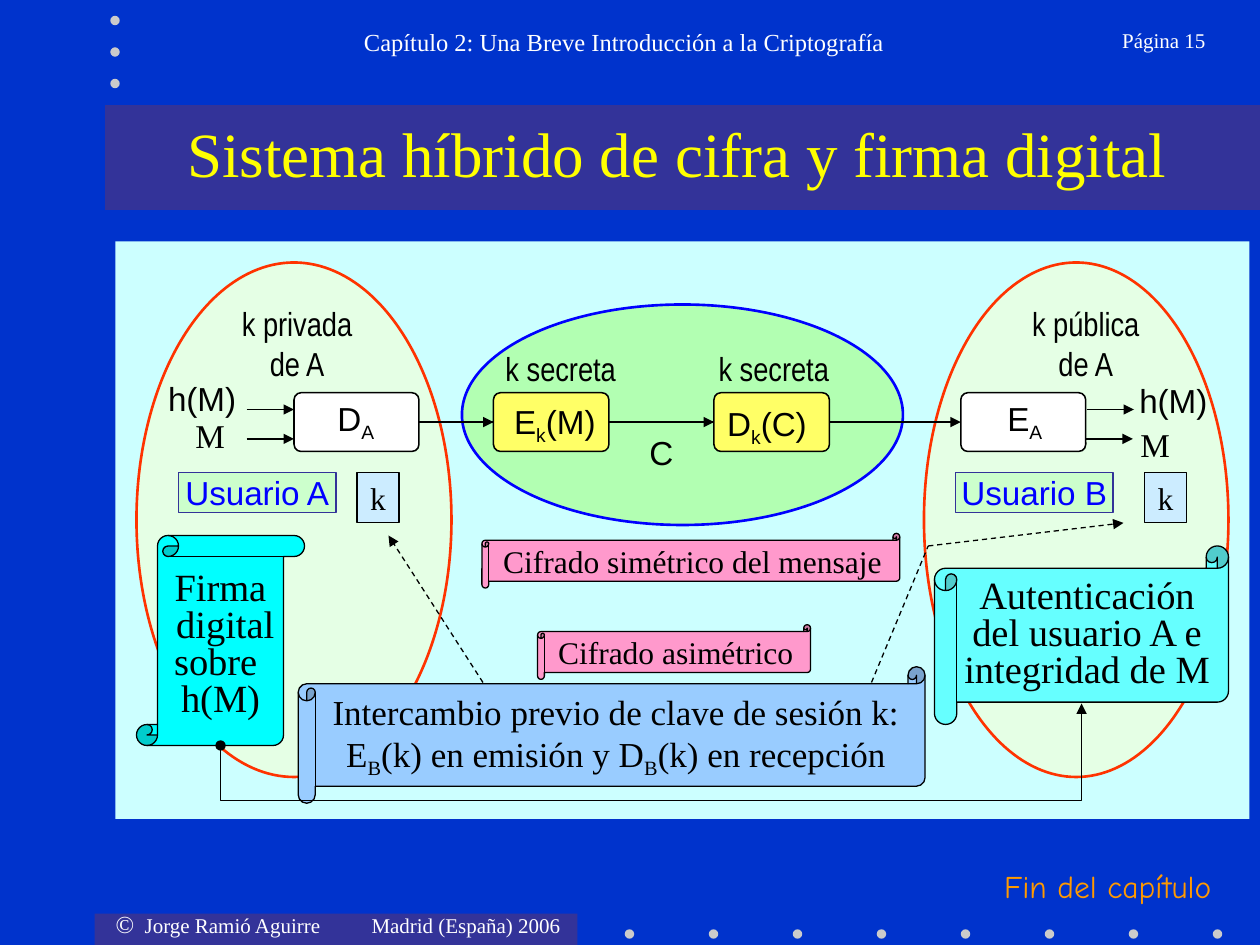
import pptx
import pptx.util
import pptx.dml.color
import pptx.enum.dml
import pptx.enum.shapes
import pptx.enum.text
import pptx.oxml.ns
import lxml.etree

RGB = pptx.dml.color.RGBColor
SHAPE = pptx.enum.shapes.MSO_SHAPE
LINK = pptx.enum.shapes.MSO_CONNECTOR
ALIGN = pptx.enum.text.PP_ALIGN
ANCHOR = pptx.enum.text.MSO_ANCHOR

ROYAL = RGB(0x00, 0x33, 0xCC)
NAVY = RGB(0x33, 0x33, 0x99)
BLUE = RGB(0x00, 0x00, 0xFF)
GREY = RGB(0xCB, 0xCB, 0xCB)
WHITE = RGB(0xFF, 0xFF, 0xFF)
BLACK = RGB(0x00, 0x00, 0x00)
YELLOW = RGB(0xFF, 0xFF, 0x00)
LEMON = RGB(0xFF, 0xFF, 0x66)
CREAM = RGB(0xFF, 0xFF, 0xCC)
RED = RGB(0xFF, 0x33, 0x00)
ORANGE = RGB(0xFF, 0x99, 0x00)
LIME = RGB(0x99, 0xFF, 0x66)
MINT = RGB(0xCC, 0xFF, 0xCC)
ICE = RGB(0xCC, 0xFF, 0xFF)
PALE = RGB(0xCC, 0xEC, 0xFF)
SKY = RGB(0x99, 0xCC, 0xFF)
CYAN = RGB(0x00, 0xFF, 0xFF)
AQUA = RGB(0x66, 0xFF, 0xFF)
PINK = RGB(0xFF, 0x99, 0xCC)

SERIF, SANS, SLIM, HAND = "Times New Roman", "Arial", "Arial Narrow", "Comic Neue"
COLS, ROWS = 120, 90
PAD = (0.1, 0.05, 0.1, 0.05)
FLAT = (0, 0, 0, 0)


def add(node, tag, **attrs):
    return lxml.etree.SubElement(node, pptx.oxml.ns.qn(tag), **attrs)


class Board:
    def __init__(self, deck):
        self.deck = deck
        self.wide = deck.slide_width / COLS
        self.high = deck.slide_height / ROWS
        self.slide = deck.slides.add_slide(deck.slide_layouts[5])
        fill = self.slide.background.fill
        fill.solid()
        fill.fore_color.rgb = ROYAL

    def place(self, x, y, w, h):
        return (round(x * self.wide), round(y * self.high),
                round(w * self.wide), round(h * self.high))

    def letter(self, item, text, size, font=SERIF, ink=BLACK, pad=PAD,
               align=ALIGN.CENTER, anchor=ANCHOR.TOP, wrap=False, space=None):
        frame = item.text_frame
        frame.word_wrap = wrap
        frame.auto_size = pptx.enum.text.MSO_AUTO_SIZE.NONE
        frame.vertical_anchor = anchor
        (frame.margin_left, frame.margin_top,
         frame.margin_right, frame.margin_bottom) = map(pptx.util.Inches, pad)
        for i, row in enumerate(text.split("\n")):
            para = frame.paragraphs[0] if i == 0 else frame.add_paragraph()
            para.alignment = align
            if space:
                para.line_spacing = space
            for j, part in enumerate(row.split("_")):
                if not part:
                    continue
                run = para.add_run()
                run.text = part
                run.font.size = pptx.util.Pt(size)
                run.font.name = font
                run.font.color.rgb = ink
                if j % 2:
                    run.font._element.set("baseline", "-25000")

    def title(self, text, box):
        item = self.slide.shapes.title
        item.left, item.top, item.width, item.height = self.place(*box)
        self.letter(item, text, 36, ink=YELLOW, anchor=ANCHOR.MIDDLE, wrap=True)
        item.element.getparent().append(item.element)

    def shape(self, kind, box, fill, line=None, width=0.75, clear=None):
        item = self.slide.shapes.add_shape(kind, *self.place(*box))
        item.shadow.inherit = False
        item.fill.solid()
        item.fill.fore_color.rgb = fill
        if clear:
            tint = item.fill._xPr.find(".//" + pptx.oxml.ns.qn("a:srgbClr"))
            add(tint, "a:alpha", val=str(clear * 1000))
        if line is None:
            item.line.fill.background()
        else:
            item.line.color.rgb = line
            item.line.width = pptx.util.Pt(width)
        return item

    def label(self, text, box, size=19, **style):
        item = self.slide.shapes.add_textbox(*self.place(*box))
        self.letter(item, text, size, **style)
        return item

    def scroll(self, text, box, fill, size, kind=SHAPE.HORIZONTAL_SCROLL, **style):
        item = self.shape(kind, box, fill, BLACK)
        self.letter(item, text, size, anchor=ANCHOR.MIDDLE, **style)

    def node(self, box, fill):
        item = self.shape(SHAPE.ROUNDED_RECTANGLE, box, fill, BLACK, 0.88)
        item.adjustments[0] = 0.12
        return item

    def arrow(self, start, end, width=0.75, dash=False, head=None,
              tail="triangle", kind=LINK.STRAIGHT):
        item = self.slide.shapes.add_connector(
            kind, *self.place(*start, *end))
        item.line.color.rgb = BLACK
        item.line.width = pptx.util.Pt(width)
        if dash:
            item.line.dash_style = pptx.enum.dml.MSO_LINE.DASH
        edge = item.line._get_or_add_ln()
        for tag, form in (("a:headEnd", head), ("a:tailEnd", tail)):
            if form:
                add(edge, tag, type=form)
        add(item._element.spPr, "a:effectLst")
        return item

    def join(self, first, last):
        item = self.arrow((0, 0), (1, 1))
        item.begin_connect(first, 3)
        item.end_connect(last, 1)

    def elbow(self, start, end, bend, **style):
        item = self.arrow(start, end, kind=LINK.ELBOW, **style)
        props = item._element.spPr
        props.xfrm.set("rot", "5400000")
        form = props.find(pptx.oxml.ns.qn("a:prstGeom"))
        guides = form.find(pptx.oxml.ns.qn("a:avLst"))
        if guides is None:
            guides = add(form, "a:avLst")
        add(guides, "a:gd", name="adj1", fmla=f"val {round(bend * 100000)}")


def frame(board):
    board.shape(SHAPE.RECTANGLE, (9, 87, 46, 3), NAVY)
    board.shape(SHAPE.RECTANGLE, (10, 10, 110, 10), NAVY)
    dots = [(59.5 + 8 * i, 88.5) for i in range(8)]
    dots += [(10.5, 1.5 + 3 * i) for i in range(3)]
    for x, y in dots:
        board.shape(SHAPE.OVAL, (x, y, 0.9, 0.9), GREY)
    foot = board.label("©", (9.84, 86, 45, 4.1), 14, ink=WHITE, align=ALIGN.LEFT)
    para = foot.text_frame.paragraphs[0]
    stops = add(para._p.get_or_add_pPr(), "a:tabLst")
    for word, stop in (("Jorge Ramió Aguirre", 0.23), ("Madrid (España) 2006", 2.03)):
        add(stops, "a:tab", pos=str(pptx.util.Inches(stop)), algn="l")
        run = para.add_run()
        run.text = "\t" + word
        run.font.size, run.font.name = pptx.util.Pt(12), SERIF
        run.font.color.rgb = WHITE
    board.label("Página 15", (99.6, 2, 16.4, 6), 12, ink=WHITE,
                align=ALIGN.RIGHT, wrap=True)
    board.label("Capítulo 2: Una Breve Introducción a la Criptografía",
                (19, 2, 78, 6), 14, ink=WHITE, pad=(0.34, 0.05, 0.1, 0.05), wrap=True)
    board.title("Sistema híbrido de cifra y firma digital", (11, 10, 107, 9))


def draw(board):
    slim = (0.1, 0.01, 0.1, 0.01)
    low = (0.1, 0.05, 0.1, 0)
    board.shape(SHAPE.RECTANGLE, (11, 23, 108, 55), ICE)
    board.shape(SHAPE.OVAL, (13, 25, 30, 49), CREAM, RED, 1.5, 50)
    board.scroll("Firma\n digital\nsobre \nh(M)", (13, 51, 16, 20), CYAN, 22,
                 SHAPE.VERTICAL_SCROLL, space=0.8)
    board.shape(SHAPE.OVAL, (44, 29, 42, 21), LIME, BLUE, 1.5, 50)
    board.scroll("Cifrado simétrico del mensaje", (45.9, 50.8, 39.8, 5.2), PINK, 18, pad=slim)
    board.shape(SHAPE.OVAL, (88, 25, 29, 49), CREAM, RED, 1.5, 50)
    board.scroll("Intercambio previo de clave de sesión k:\n"
                 "E_B_(k) en emisión y D_B_(k) en recepción",
                 (28.4, 63.5, 59.7, 13), SKY, 20)
    board.scroll("Autenticación\ndel usuario A e\nintegridad de M",
                 (89, 52, 28, 17), AQUA, 22, space=0.8)

    sign, check = [board.node((x, 37.4, 11.9, 5.6), WHITE) for x in (28, 91.5)]
    board.join(sign, check)
    lock, free = [board.node((x, 37.4, 11, 5.6), LEMON) for x in (47, 68)]
    board.join(sign, lock)
    board.join(lock, free)
    for text, box, fill in (("E_A_", (95.9, 37.9, 3.4, 4.3), WHITE),
                            ("D_k_(C)", (69.3, 38.4, 7.5, 4.3), LEMON),
                            ("D_A_", (32.2, 37.9, 3.4, 4.3), WHITE),
                            ("E_k_(M)", (49, 38.2, 7.7, 4.3), LEMON)):
        board.letter(board.shape(SHAPE.RECTANGLE, box, fill), text, 19, SANS, pad=FLAT)

    for user, x, y in (("A", 17, 34), ("B", 91, 109)):
        item = board.shape(SHAPE.RECTANGLE, (x, 45, 15, 3.8), MINT, NAVY)
        board.letter(item, "Usuario " + user, 19, SANS, BLUE, FLAT, wrap=True)
        item = board.shape(SHAPE.RECTANGLE, (y, 45, 4, 4.8), PALE, BLACK)
        board.letter(item, "k", 18, wrap=True)

    for text, box in (("k privada\nde A", (23, 28.9, 10.6, 7.6)),
                      ("k pública\nde A", (98.3, 28.9, 10.2, 7.6)),
                      ("k secreta", (68.4, 33.2, 10.6, 3.8)),
                      ("k secreta", (47, 33.2, 12.8, 3.8))):
        board.label(text, box, font=SLIM, pad=FLAT)
    for text, box in (("h(M)", (16, 36, 6.5, 3.8)), ("h(M)", (108.5, 36.2, 6.5, 3.8)),
                      (" C", (61, 41.2, 3.1, 3.8))):
        board.label(text, box, font=SANS, pad=FLAT)
    for box in ((18, 39, 4, 4.4), (108, 39.8, 4, 4.4)):
        board.label("M", box, pad=low)

    board.elbow((64, 110), (60, 28), -1.31, head="oval")
    board.scroll("Cifrado asimétrico", (51.2, 59.5, 26, 5.2), PINK, 18, pad=slim)
    for start, end, tail in (((46, 65), (37, 51), "triangle"),
                             ((83, 65), (88.4, 52), None),
                             ((88.4, 52), (107, 49.8), "triangle")):
        board.arrow(start, end, dash=True, tail=tail)
    for x, y in ((23.5, 41.8), (23.5, 39), (103.5, 39), (103.4, 41.8)):
        board.arrow((x, y), (x + 4.5, y), 1)
    board.label("Fin del capítulo", (93, 82, 25, 4.2), 18, font=HAND, ink=ORANGE,
                pad=low, wrap=True)


def main():
    deck = pptx.Presentation()
    deck.slide_width = pptx.util.Inches(10)
    deck.slide_height = pptx.util.Inches(7.5)
    board = Board(deck)
    frame(board)
    draw(board)
    deck.save("out.pptx")


if __name__ == "__main__":
    main()
